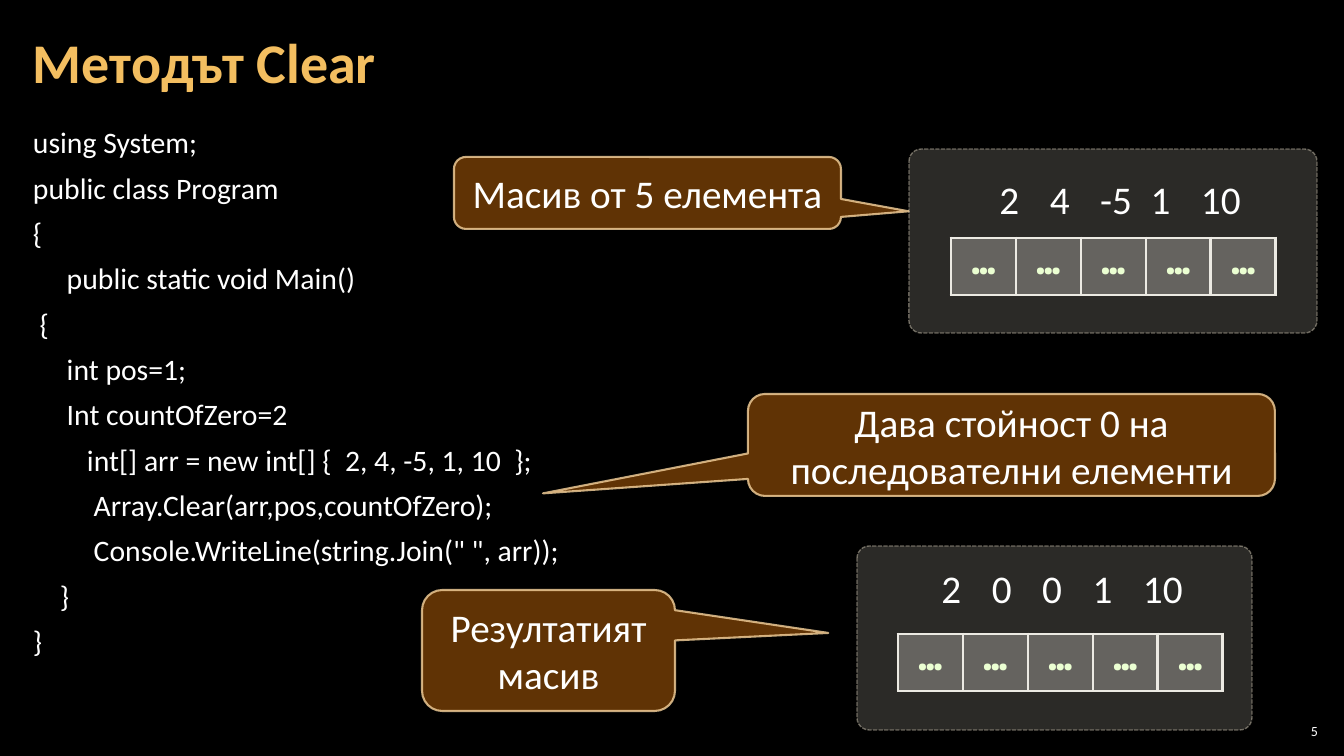
from dataclasses import dataclass

import pptx
import pptx.dml.color
import pptx.enum.dml
import pptx.enum.shapes
import pptx.enum.text
import pptx.oxml
import pptx.oxml.ns
import pptx.util

SLIDE_WIDTH, SLIDE_HEIGHT = 1344, 756
EMU_PER_PX = 12192000 / SLIDE_WIDTH
CELL_WIDTH, CELL_HEIGHT, CELL_COUNT = 65, 57, 5
SPACE_WIDTH = 6.75
COLORS = {
    "background": "000000",
    "text": "FFFFFF",
    "title": "F3BE60",
    "panel": "D9D5C7",
    "panel_line": "C7BFAC",
    "callout": "663606",
    "callout_line": "F8D49E",
    "cell": "ECEAE3",
    "dots": "EBFFD2",
}
ALIGN = pptx.enum.text.PP_ALIGN
ANCHOR = pptx.enum.text.MSO_ANCHOR
SHAPE = pptx.enum.shapes.MSO_SHAPE

CODE = [
    (0, "using System;"),
    (0, "public class Program"),
    (0, "{"),
    (5, "public static void Main()"),
    (1, "{"),
    (5, "int pos=1;"),
    (5, "Int countOfZero=2"),
    (8, "int[] arr = new int[] {  2, 4, -5, 1, 10  };"),
    (9, "Array.Clear(arr,pos,countOfZero);"),
    (9, 'Console.WriteLine(string.Join(" ", arr));'),
    (4, "}"),
    (0, "}"),
]


@dataclass
class Box:
    left: int
    top: int
    width: int
    height: int

    def emu(self) -> tuple:
        return tuple(px(v) for v in (self.left, self.top, self.width, self.height))


@dataclass
class ArrayPanel:
    frame: Box
    values: list
    values_box: Box
    first_center: int
    pitch: int
    cells_left: int
    cells_top: int


@dataclass
class Callout:
    text: str
    box: Box
    tip: tuple


PANELS = [
    ArrayPanel(Box(909, 149, 408, 184), ["2", "4", "-5", "1", "10"],
               Box(949, 170, 326, 58), 32, 63, 951, 238),
    ArrayPanel(Box(857, 546, 395, 184), ["2", "0", "0", "1", "10"],
               Box(891, 559, 326, 58), 38, 60, 898, 634),
]
CALLOUTS = [
    Callout("Масив от 5 елемента", Box(454, 157, 387, 72), (0.675, 0.255)),
    Callout("Дава стойност 0 на последователни елементи",
            Box(748, 394, 527, 102), (-0.889, 0.475)),
    Callout("Резултатият масив", Box(422, 590, 253, 121), (1.106, -0.145)),
]


def px(length: float) -> int:
    return round(length * EMU_PER_PX)


def rgb(name: str) -> pptx.dml.color.RGBColor:
    return pptx.dml.color.RGBColor.from_string(COLORS[name])


def add_child(parent, tag: str, **attributes):
    child = pptx.oxml.parse_xml(f"<{tag} {pptx.oxml.ns.nsdecls('a')}/>")
    for name, value in attributes.items():
        child.set(name, str(value))
    parent.append(child)
    return child


def paint(fill, color: str, opacity: int) -> None:
    fill.solid()
    fill.fore_color.rgb = rgb(color)
    srgb = fill._xPr.find(".//" + pptx.oxml.ns.qn("a:srgbClr"))
    add_child(srgb, "a:alpha", val=opacity * 1000)


def write(paragraph, text: str, *, size: float, color: str = "text",
          font: str = "Calibri", bold: bool = False, align=ALIGN.LEFT,
          line_spacing: float = 1.0, before: float = 0, after: float = 0,
          indent: float = 0, tabs: tuple = ()) -> None:
    run = paragraph.add_run()
    run.text = text
    run.font.name = font
    run.font.size = pptx.util.Pt(size)
    run.font.bold = bold
    run.font.color.rgb = rgb(color)
    paragraph.alignment = align
    paragraph.line_spacing = line_spacing
    paragraph.space_before = pptx.util.Pt(before)
    paragraph.space_after = pptx.util.Pt(after)
    properties = paragraph._p.get_or_add_pPr()
    properties.set("marL", str(px(indent)))
    properties.set("indent", "0")
    add_child(properties, "a:buNone")
    if tabs:
        stops = add_child(properties, "a:tabLst")
        for position in tabs:
            add_child(stops, "a:tab", pos=px(position), algn="ctr")


def set_frame(frame, anchor, horizontal: int, vertical: int) -> None:
    frame.word_wrap = True
    frame.auto_size = pptx.enum.text.MSO_AUTO_SIZE.NONE
    frame.vertical_anchor = anchor
    frame.margin_left = frame.margin_right = px(horizontal)
    frame.margin_top = frame.margin_bottom = px(vertical)


def place(shape, box: Box) -> None:
    shape.left, shape.top, shape.width, shape.height = box.emu()


def add_filled(slide, kind, box: Box, adjustments: tuple, fill: str, fill_opacity: int,
               line: str, line_opacity: int, line_width: float):
    shape = slide.shapes.add_shape(kind, *box.emu())
    shape.shadow.inherit = False
    for index, value in enumerate(adjustments):
        shape.adjustments[index] = value
    paint(shape.fill, fill, fill_opacity)
    paint(shape.line.fill, line, line_opacity)
    shape.line.width = pptx.util.Pt(line_width)
    return shape


def add_callout(slide, callout: Callout) -> None:
    shape = add_filled(slide, SHAPE.ROUNDED_RECTANGULAR_CALLOUT, callout.box,
                       (*callout.tip, 0.167), "callout", 95, "callout_line", 80, 1.5)
    set_frame(shape.text_frame, ANCHOR.MIDDLE, 10, 5)
    write(shape.text_frame.paragraphs[0], callout.text, size=28, align=ALIGN.CENTER)


def add_cell_borders(cell) -> None:
    properties = cell._tc.get_or_add_tcPr()
    for index, side in enumerate(("lnL", "lnR", "lnT", "lnB")):
        border = add_child(properties, f"a:{side}", w=pptx.util.Pt(2.25))
        add_child(add_child(border, "a:solidFill"), "a:srgbClr", val=COLORS["cell"])
        properties.insert(index, border)


def add_array_panel(slide, panel: ArrayPanel) -> None:
    frame = add_filled(slide, SHAPE.ROUNDED_RECTANGLE, panel.frame, (0.067,),
                       "panel", 20, "panel_line", 50, 1)
    frame.line.dash_style = pptx.enum.dml.MSO_LINE.SQUARE_DOT

    values = slide.shapes.add_textbox(*panel.values_box.emu()).text_frame
    set_frame(values, ANCHOR.TOP, 0, 5)
    centers = tuple(panel.first_center + i * panel.pitch for i in range(CELL_COUNT))
    write(values.paragraphs[0], "\t" + "\t".join(panel.values), size=28, tabs=centers)

    cells = Box(panel.cells_left, panel.cells_top, CELL_WIDTH * CELL_COUNT, CELL_HEIGHT)
    table = slide.shapes.add_table(1, CELL_COUNT, *cells.emu()).table
    table.first_row = table.horz_banding = False
    for cell in table.iter_cells():
        paint(cell.fill, "cell", 30)
        add_cell_borders(cell)
        cell.vertical_anchor = ANCHOR.MIDDLE
        write(cell.text_frame.paragraphs[0], "…", size=28, color="dots", bold=True,
              font="Noto Sans Mono", align=ALIGN.CENTER, line_spacing=0.5, before=11)


def main() -> None:
    deck = pptx.Presentation()
    deck.slide_width, deck.slide_height = px(SLIDE_WIDTH), px(SLIDE_HEIGHT)
    slide = deck.slides.add_slide(deck.slide_layouts[1])
    slide.background.fill.solid()
    slide.background.fill.fore_color.rgb = rgb("background")

    title = slide.shapes.title
    place(title, Box(21, 4, 1055, 122))
    set_frame(title.text_frame, ANCHOR.MIDDLE, 12, 4)
    write(title.text_frame.paragraphs[0], "Методът Clear", size=40, color="title",
          bold=True, line_spacing=0.9)

    code = slide.placeholders[1]
    place(code, Box(21, 127, 1301, 614))
    set_frame(code.text_frame, ANCHOR.TOP, 12, 4)
    for number, (spaces, line) in enumerate(CODE):
        paragraph = code.text_frame.add_paragraph() if number else code.text_frame.paragraphs[0]
        write(paragraph, line, size=21.2, line_spacing=0.8, before=6, after=6,
              indent=spaces * SPACE_WIDTH)

    for panel in PANELS:
        add_array_panel(slide, panel)
    for callout in CALLOUTS:
        add_callout(slide, callout)

    page_number = slide.shapes.add_textbox(*Box(1275, 720, 47, 21).emu()).text_frame
    set_frame(page_number, ANCHOR.MIDDLE, 4, 4)
    write(page_number.paragraphs[0], "5", size=10, align=ALIGN.RIGHT)

    deck.save("out.pptx")


if __name__ == "__main__":
    main()
